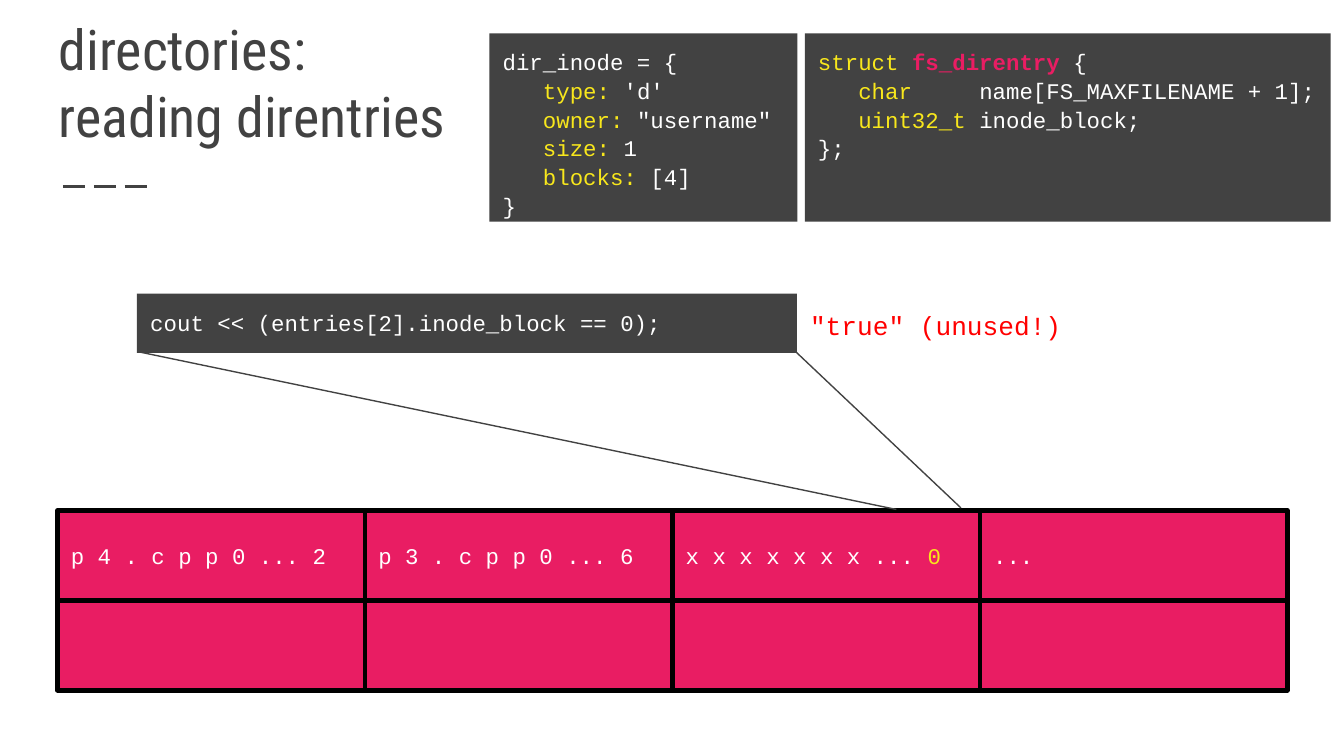
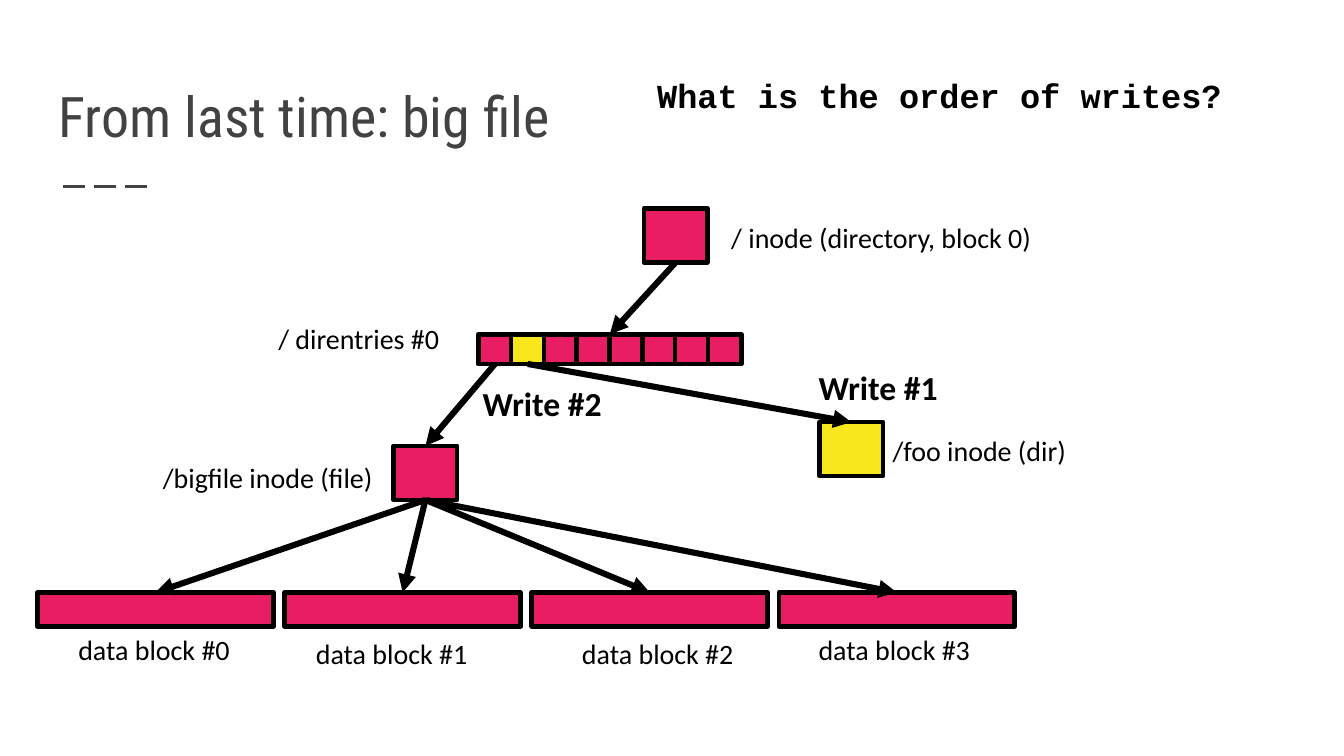
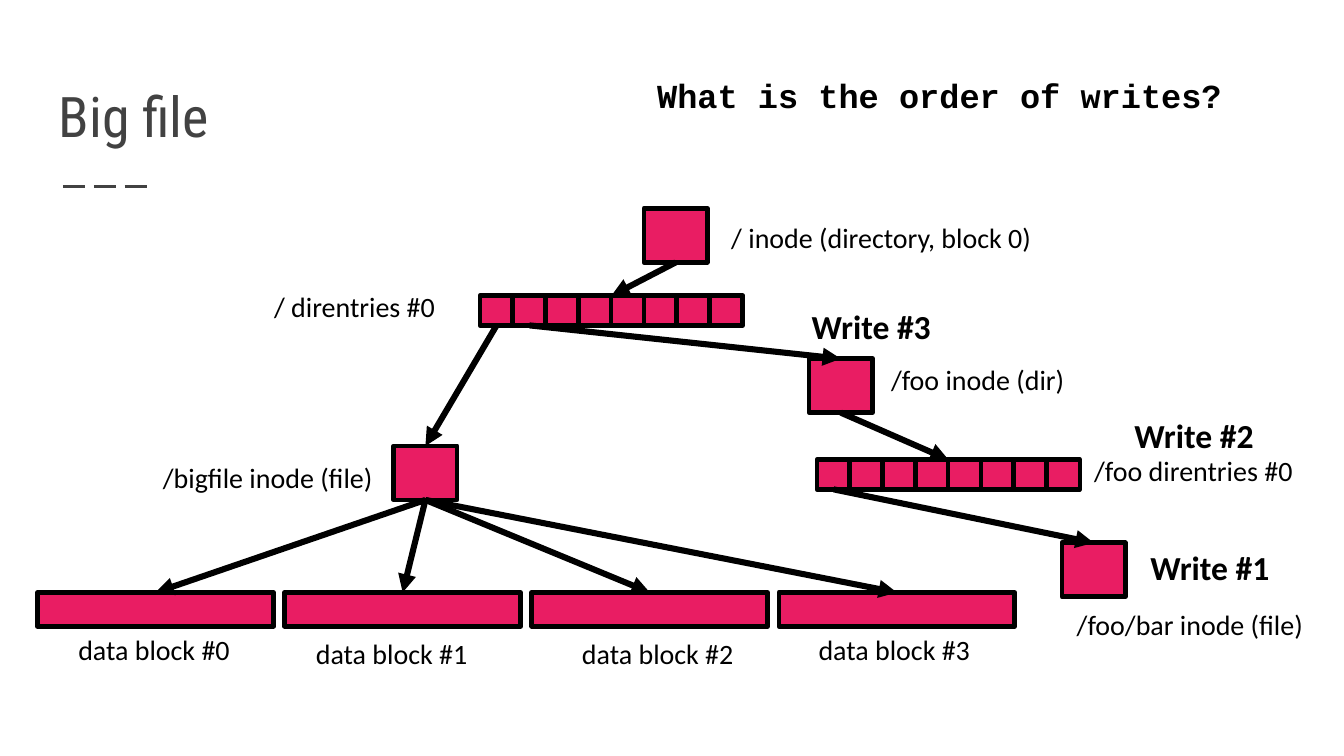
"""Build three slides on directory entries and the order of writes."""
from lxml import etree
from pptx import Presentation
from pptx.dml.color import RGBColor
from pptx.enum.dml import MSO_LINE
from pptx.enum.shapes import MSO_CONNECTOR, MSO_SHAPE
from pptx.enum.text import MSO_ANCHOR, MSO_AUTO_SIZE, PP_ALIGN
from pptx.oxml.ns import qn
from pptx.util import Cm, Pt

RECTANGLE = MSO_SHAPE.RECTANGLE
STRAIGHT = MSO_CONNECTOR.STRAIGHT
LONG_DASH = MSO_LINE.LONG_DASH
TOP, MIDDLE, BOTTOM = MSO_ANCHOR.TOP, MSO_ANCHOR.MIDDLE, MSO_ANCHOR.BOTTOM
NO_AUTOFIT = MSO_AUTO_SIZE.NONE
LEFT = PP_ALIGN.LEFT

DARK = RGBColor(0x42, 0x42, 0x42)
PINK = RGBColor(0xE9, 0x1D, 0x63)
YELLOW = RGBColor(0xF8, 0xE7, 0x1C)
WHITE = RGBColor(0xFF, 0xFF, 0xFF)
BLACK = RGBColor(0, 0, 0)
RED = RGBColor(0xFF, 0, 0)

TITLE_FONT, CODE_FONT, LABEL_FONT = "Roboto Condensed", "Courier New", "Calibri"
WIDE_INSETS = (0.25, 0.25, 0.25, 0.25)
CELL_INSETS = (0.25, 0.25, 0, 0.25)
LABEL_INSETS = (0.18, 0.1, 0.18, 0.1)
CODE_SPACING = 1.07

# Each code line is a list of (text, colour) runs.
CODE_BOXES = [
    ((9.25, 0.63, 5.82, 3.56), [
        [("dir_inode = {", WHITE)],
        [("   type:", YELLOW), (" 'd'", WHITE)],
        [("   owner:", YELLOW), (' "username"', WHITE)],
        [("   size:", YELLOW), (" 1", WHITE)],
        [("   blocks:", YELLOW), (" [4]", WHITE)],
        [("}", WHITE)],
    ]),
    ((15.21, 0.63, 9.94, 3.56), [
        [("struct ", YELLOW), ("fs_direntry ", PINK), ("{", WHITE)],
        [("   char     ", YELLOW), ("name[FS_MAXFILENAME + 1];", WHITE)],
        [("   uint32_t ", YELLOW), ("inode_block;", WHITE)],
        [("};", WHITE)],
    ]),
    ((2.59, 5.55, 12.47, 1.12), [
        [("cout << (entries[2].inode_block == 0);", WHITE)],
    ]),
]
DIRENTRIES = [
    [("p 4 . c p p 0 ... 2", WHITE)],
    [("p 3 . c p p 0 ... 6", WHITE)],
    [("x x x x x x x ... ", WHITE), ("0", YELLOW)],
    [("...", WHITE)],
]
ZOOM_LINES = [((2.62, 6.65), (16.94, 9.63)), ((15.04, 6.65), (18.16, 9.6))]

QUESTION = "What is the order of writes?"
COMMON_NODES = {"root": (12.17, 3.94), "bigfile": (7.44, 8.43)}
COMMON_LABELS = [
    ("/ inode (directory, block 0)", 13.64, 4.06, 6.12),
    ("/bigfile inode (file)", 2.9, 8.61, 4.39),
    ("data block #0", 1.3, 11.86, 3.28),
    ("data block #1", 5.79, 11.94, 3.28),
    ("data block #2", 10.82, 11.94, 3.28),
    ("data block #3", 15.29, 11.86, 3.28),
]
TREES = [
    {
        "title": "From last time: big file",
        "nodes": {"foo": (15.49, 7.98)},
        "strips": {"root": (9.04, 6.32)},
        "new": {"foo", ("root", 1)},
        "links": [(("root", 0), "bigfile"), (("root", 1), "foo")],
        "labels": [("/ direntries #0", 5.08, 5.97, 3.45),
                   ("/foo inode (dir)", 16.69, 8.1, 3.71)],
        "writes": [("Write #1", 15.29, 6.83), ("Write #2", 8.94, 7.14)],
    },
    {
        "title": "Big file",
        "nodes": {"foo": (15.29, 6.78), "bar": (20.07, 10.26)},
        "strips": {"root": (9.07, 5.59), "foo": (15.44, 8.69)},
        "new": set(),
        "links": [(("root", 0), "bigfile"), (("root", 1), "foo"),
                  (("foo", 0), "bar")],
        "labels": [("/ direntries #0", 5, 5.38, 3.45),
                   ("/foo inode (dir)", 16.66, 6.76, 3.71),
                   ("/foo direntries #0", 20.5, 8.48, 4.19),
                   ("/foo/bar inode (file)", 20.17, 11.38, 4.72)],
        "writes": [("Write #1", 21.56, 10.24), ("Write #2", 21.26, 7.75),
                   ("Write #3", 15.16, 5.69)],
    },
]
NODE_SIZE = (1.2, 1.02)
STRIP_CELLS, STRIP_PITCH, STRIP_CELL_SIZE = 8, 0.62, (0.63, 0.56)
BLOCK_COUNT, BLOCK_PITCH, BLOCK_BOX = 4, 4.67, (0.71, 11.2, 4.46, 0.64)
GRID_LEFT, GRID_TOP, GRID_CELL = 1.09, 9.65, (5.81, 1.7)


def write_lines(shape, lines, font_name, size, insets=WIDE_INSETS,
                anchor=TOP, bold=False, spacing=None, wrap=True):
    """Fill a shape with one paragraph per list of (text, colour) runs."""
    frame = shape.text_frame
    frame.auto_size = NO_AUTOFIT
    frame.word_wrap = wrap
    frame.vertical_anchor = anchor
    (frame.margin_left, frame.margin_top,
     frame.margin_right, frame.margin_bottom) = map(Cm, insets)
    for index, runs in enumerate(lines):
        paragraph = frame.add_paragraph() if index else frame.paragraphs[0]
        paragraph.alignment = LEFT
        paragraph.line_spacing = spacing
        paragraph.font.name = font_name
        paragraph.font.size = Pt(size)
        paragraph.font.bold = bold
        for text, colour in runs:
            run = paragraph.add_run()
            run.text = text
            run.font.color.rgb = colour
            if colour == PINK:
                run.font.bold = True


def add_box(shapes, box, fill=PINK, outlined=True):
    """Add a flat rectangle, outlined in black unless told otherwise."""
    shape = shapes.add_shape(RECTANGLE, *map(Cm, box))
    shape.shadow.inherit = False
    shape.fill.solid()
    shape.fill.fore_color.rgb = fill
    if outlined:
        shape.line.color.rgb = BLACK
        shape.line.width = Pt(2.5)
    else:
        shape.line.fill.background()
    return shape


def add_text(slide, box, text, font_name, size, colour=BLACK, **options):
    """Add a text box holding one line."""
    shape = slide.shapes.add_textbox(*map(Cm, box))
    write_lines(shape, [[(text, colour)]], font_name, size, **options)


def add_line(slide, start, end, colour, width):
    """Add a straight line without a shadow between two points."""
    line = slide.shapes.add_connector(STRAIGHT, *map(Cm, start + end))
    etree.SubElement(line.element.spPr, qn("a:effectLst"))
    line.line.color.rgb = colour
    line.line.width = Pt(width)
    return line


def add_arrow(slide, source, target):
    """Add an arrow from the bottom of one shape to the top of another."""
    arrow = add_line(slide, (0, 0), (0, 0), BLACK, 3.25)
    arrow.begin_connect(source, 2)
    if target.has_text_frame:
        arrow.end_connect(target, 0)
    else:
        arrow.end_x = target.left + target.width // 2
        arrow.end_y = target.top
    outline = arrow.line._get_or_add_ln()
    etree.SubElement(outline, qn("a:tailEnd"), type="triangle")


def add_titled_slide(presentation, *title_lines):
    """Add a title-only slide with the shared title style."""
    slide = presentation.slides.add_slide(presentation.slide_layouts[5])
    title = slide.shapes.title
    title.left, title.top, title.width, title.height = map(
        Cm, (0.86, 1.04, 23.67, 2.03))
    write_lines(title, [[(line, DARK)] for line in title_lines],
                TITLE_FONT, 30, anchor=BOTTOM)
    return slide


def add_title_dashes(slide):
    """Put the dashes under the title on the layout that all slides share."""
    dashes = add_line(slide, (1.19, 3.53), (2.9, 3.53), DARK, 1.5)
    dashes.line.dash_style = LONG_DASH
    slide.slide_layout.shapes.element.append(dashes.element)


def add_strip(slide, name, left, top, new):
    """Add a grouped row of directory entries; return the group and cells."""
    group = slide.shapes.add_group_shape()
    cells = [add_box(group.shapes,
                     (left + index * STRIP_PITCH, top, *STRIP_CELL_SIZE),
                     YELLOW if (name, index) in new else PINK)
             for index in range(STRIP_CELLS)]
    return group, cells


def build_direntries(presentation):
    """Build the slide that reads entries from a directory block."""
    slide = add_titled_slide(presentation, "directories:", "reading direntries")
    add_title_dashes(slide)
    for box, lines in CODE_BOXES:
        shape = add_box(slide.shapes, box, DARK, outlined=False)
        write_lines(shape, lines, CODE_FONT, 12, spacing=CODE_SPACING)
    width, height = GRID_CELL
    for row in (1, 0):
        for column, runs in enumerate(DIRENTRIES):
            cell = add_box(slide.shapes, (GRID_LEFT + column * width,
                                          GRID_TOP + row * height, width, height))
            if row == 0:
                write_lines(cell, [runs], CODE_FONT, 12, CELL_INSETS, MIDDLE)
    add_text(slide, (15.06, 5.55, 5.66, 1.12), '"true" (unused!)',
             CODE_FONT, 14, RED, spacing=CODE_SPACING)
    for start, end in ZOOM_LINES:
        add_line(slide, start, end, DARK, 0.75)


def build_tree(presentation, tree):
    """Build one tree of inodes, directory entries and data blocks."""
    slide = add_titled_slide(presentation, tree["title"])
    new = tree["new"]
    nodes = {name: add_box(slide.shapes, (*place, *NODE_SIZE),
                           YELLOW if name in new else PINK)
             for name, place in (COMMON_NODES | tree["nodes"]).items()}
    strips = {name: add_strip(slide, name, *place, new)
              for name, place in tree["strips"].items()}
    left, *rest = BLOCK_BOX
    blocks = [add_box(slide.shapes, (left + index * BLOCK_PITCH, *rest))
              for index in range(BLOCK_COUNT)]

    for name, (group, _) in strips.items():
        add_arrow(slide, nodes[name], group)
    for (name, index), target in tree["links"]:
        add_arrow(slide, strips[name][1][index], nodes[target])
    for block in blocks:
        add_arrow(slide, nodes["bigfile"], block)

    for text, left, top, width in COMMON_LABELS + tree["labels"]:
        add_text(slide, (left, top, width, 0.84), text, LABEL_FONT, 15,
                 insets=LABEL_INSETS, wrap=False)
    for text, left, top in tree["writes"]:
        add_text(slide, (left, top, 2.67, 0.97), text, LABEL_FONT, 18,
                 insets=LABEL_INSETS, bold=True, wrap=False)
    add_text(slide, (12.17, 1.12, 11.63, 1.17), QUESTION, CODE_FONT, 18,
             bold=True, spacing=CODE_SPACING)


def main():
    """Build and save the presentation."""
    presentation = Presentation()
    presentation.slide_width, presentation.slide_height = Cm(25.4), Cm(14.29)
    build_direntries(presentation)
    for tree in TREES:
        build_tree(presentation, tree)
    presentation.save("out.pptx")


if __name__ == "__main__":
    main()
